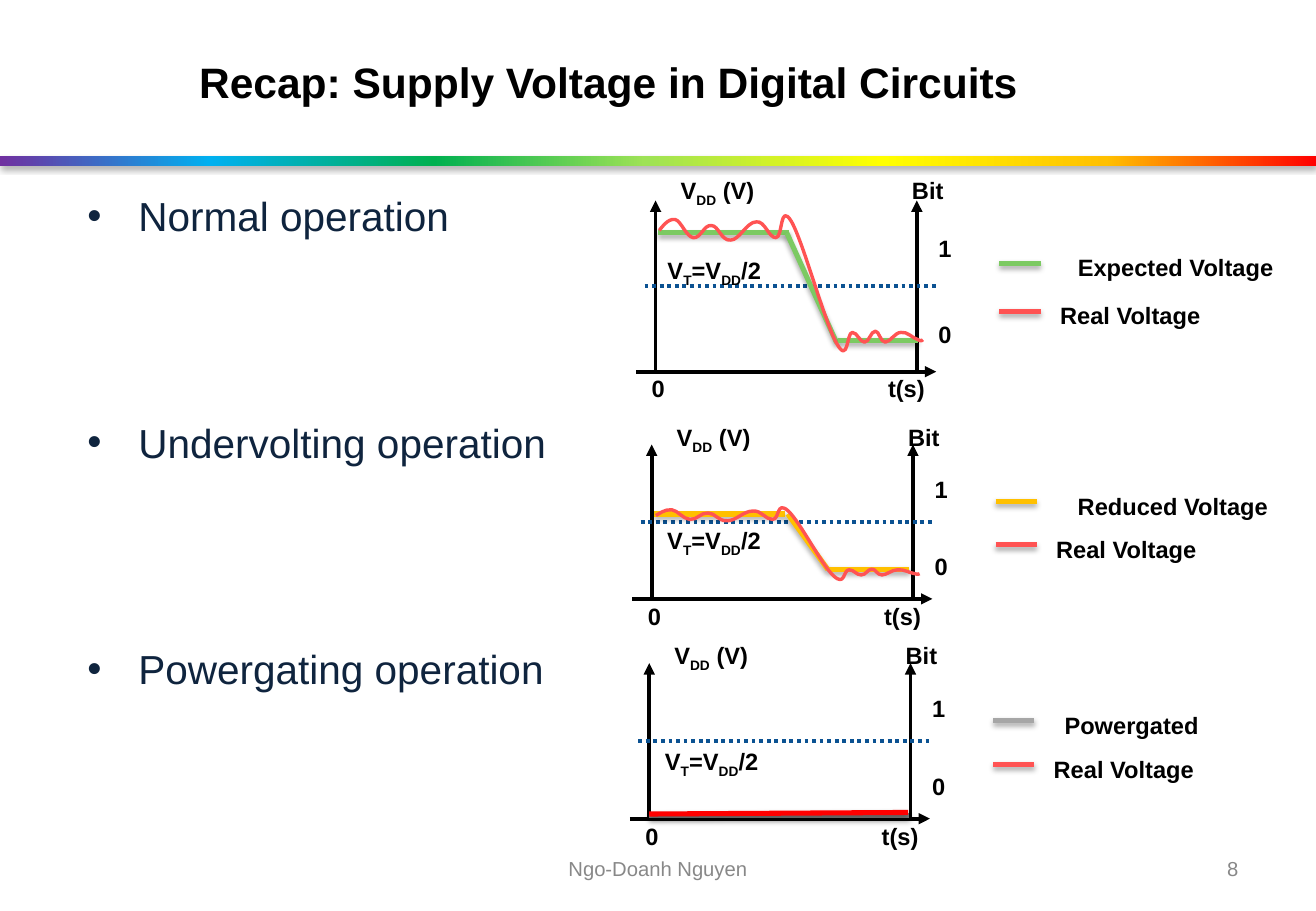
from dataclasses import dataclass

import lxml.etree
import pptx
import pptx.dml.color
import pptx.enum.dml
import pptx.enum.shapes
import pptx.enum.text
import pptx.oxml.ns
import pptx.util

qn = pptx.oxml.ns.qn
Align = pptx.enum.text.PP_ALIGN
Anchor = pptx.enum.text.MSO_ANCHOR


@dataclass(frozen=True)
class Theme:
    font: str = "Arial"
    ink: str = "000000"
    bullet: str = "0F243E"
    footer: str = "888888"
    threshold: str = "0B5292"
    expected: str = "7CCA62"
    reduced: str = "FFC000"
    real: str = "FF5353"
    gated: str = "808080"
    gated_key: str = "A6A6A6"
    off: str = "FF0000"
    rainbow: tuple = ((0, "7030A0"), (16, "00B0F0"), (33, "00B050"), (49, "9EE256"),
                      (67, "FFFF00"), (84, "FFC000"), (100, "FF0000"))
    title_pt: float = 25.2
    bullet_pt: float = 24
    label_pt: float = 14
    footer_pt: float = 12
    axis_pt: float = 2.25
    trace_pt: float = 3
    wave_pt: float = 2


@dataclass(frozen=True)
class Trace:
    """Straight stretch: columns from the voltage axis, shares of the axis height."""
    start: tuple[float, float]
    end: tuple[float, float]
    color: str


@dataclass(frozen=True)
class Wave:
    """Noisy voltage: columns from the axis, share of its height, rows."""
    left: float
    top: float
    height: float


@dataclass(frozen=True)
class Panel:
    axis: float       # column of the voltage axis
    base: float       # row of the time axis
    height: float     # rows
    threshold_label: tuple[float, float]
    key: str
    key_color: str
    key_center: float
    traces: tuple[Trace, ...]
    wave: Wave | None = None

    def at(self, column: float, share: float) -> tuple[float, float]:
        return self.axis + column, self.base - share * self.height


THEME = Theme()
CELL = 0.1  # inches per grid column and row
COLUMNS, ROWS = 108.3, 75

PANELS = (
    Panel(53.95, 30.6, 14.1, (0, 0.71), "Expected Voltage", THEME.expected, 42.8,
          (Trace((0.2, 0.81), (11, 0.81), THEME.expected),
           Trace((10.8, 0.81), (14.9, 0.17), THEME.expected),
           Trace((15, 0.18), (21.6, 0.18), THEME.expected)), Wave(0.3, 0.91, 11.1)),
    Panel(53.63, 49.3, 12.7, (0.3, 0.51), "Reduced Voltage", THEME.reduced, 42.9,
          (Trace((0.2, 0.55), (11, 0.55), THEME.reduced),
           Trace((11.2, 0.55), (14.5, 0.19), THEME.reduced),
           Trace((14.5, 0.19), (21.2, 0.19), THEME.reduced)), Wave(0.35, 0.59, 5.9)),
    Panel(53.43, 67.4, 12.8, (0.3, 0.5), "Powergated", THEME.gated_key, 39.7,
          (Trace((0, 0.02), (21.4, 0.02), THEME.gated),
           Trace((0, 0.03), (21.3, 0.04), THEME.off))),
)

# Start point, then three Bézier points per stretch, in cells of the tallest wave
WAVE_WIDTH, WAVE_HEIGHT = 21.7, 11.1
WAVE_POINTS = (
    (0, 1.2), (0.2, 1), (0.7, 0.2), (1.3, 0.3), (1.8, 0.4), (2.2, 1.7), (2.8, 1.8),
    (3.4, 1.9), (3.7, 0.7), (4.3, 0.8), (4.9, 0.8), (5.1, 2.1), (5.9, 2),
    (6.6, 2), (7.2, 0.5), (8, 0.5), (8.7, 0.4), (9, 1.8), (9.6, 1.8),
    (10.2, 1.8), (9.9, -1.2), (10.9, 0.5), (11.9, 2.3), (13.6, 8.7), (14.6, 10.5),
    (15.6, 12.3), (15.4, 9.6), (15.9, 9.6), (16.3, 9.6), (16.5, 10.4), (16.9, 10.4),
    (17.3, 10.4), (17.4, 9.5), (17.8, 9.5), (18.1, 9.5), (18.2, 10.4), (18.6, 10.4),
    (19, 10.4), (19.4, 9.6), (19.9, 9.6), (20.4, 9.5), (20.9, 10.1), (21.3, 10.2),
    (21.6, 10.4), (21.7, 10.2), (21.7, 10.2),
)


def cells(count: float) -> int:
    return pptx.util.Inches(count * CELL)


def rgb(color: str) -> pptx.dml.color.RGBColor:
    return pptx.dml.color.RGBColor.from_string(color)


def add_node(parent, tag: str, **attributes):
    return lxml.etree.SubElement(parent, qn(tag), {k: str(v) for k, v in attributes.items()})


def add_effects(shape, shadow: bool) -> None:
    effects = add_node(shape._element.spPr, "a:effectLst")
    if shadow:
        outer = add_node(effects, "a:outerShdw", blurRad=40000, dist=23000,
                         dir=5400000, rotWithShape=0)
        add_node(add_node(outer, "a:srgbClr", val=THEME.ink), "a:alpha", val=35000)


def write(slide, box: tuple, text: str, *, size: float = THEME.label_pt,
          color: str = THEME.ink, bold: bool = True, align=Align.LEFT,
          anchor=Anchor.TOP, bulleted: bool = False, gap: float = 0) -> None:
    """Newlines part paragraphs; underscores enclose subscripts."""
    frame = slide.shapes.add_textbox(*map(cells, box)).text_frame
    frame.word_wrap, frame.vertical_anchor = True, anchor
    for row, line in enumerate(text.split("\n")):
        paragraph = frame.add_paragraph() if row else frame.paragraphs[0]
        paragraph.alignment = align
        if row:
            paragraph.space_before = pptx.util.Pt(gap)
        if bulleted:
            props = paragraph._p.get_or_add_pPr()
            props.set("marL", str(cells(5)))
            props.set("indent", str(-cells(4.2)))
            add_node(add_node(props, "a:buClr"), "a:srgbClr", val=color)
            add_node(props, "a:buFont", typeface=THEME.font)
            add_node(props, "a:buChar", char="•")
        for index, piece in enumerate(line.split("_")):
            run = paragraph.add_run()
            run.text = piece
            font = run.font
            font.name, font.size, font.bold = THEME.font, pptx.util.Pt(size), bold
            font.color.rgb = rgb(color)
            if index % 2:
                run._r.get_or_add_rPr().set("baseline", "-25000")


def draw_line(slide, start: tuple, end: tuple, color: str, width: float, *,
              arrow: bool = False, dotted: bool = False, shadow: bool = False) -> None:
    line = slide.shapes.add_connector(pptx.enum.shapes.MSO_CONNECTOR.STRAIGHT,
                                      *map(cells, (*start, *end)))
    line.line.color.rgb, line.line.width = rgb(color), pptx.util.Pt(width)
    if dotted:
        line.line.dash_style = pptx.enum.dml.MSO_LINE.ROUND_DOT
    if arrow:
        add_node(line.line._get_or_add_ln(), "a:tailEnd", type="triangle")
    add_effects(line, shadow)


def draw_wave(slide, left: float, top: float, height: float) -> None:
    # The diagonal sets the extent; Bézier stretches then take its place
    builder = slide.shapes.build_freeform(cells(left), cells(top))
    builder.add_line_segments([(cells(left + WAVE_WIDTH), cells(top + height))], close=False)
    wave = builder.convert_to_shape()
    outline = next(wave._element.iter(qn("a:path")))
    for step in list(outline):
        outline.remove(step)
    for index, (x, y) in enumerate(WAVE_POINTS):
        if index % 3 == 1 or index == 0:
            step = add_node(outline, "a:cubicBezTo" if index else "a:moveTo")
        add_node(step, "a:pt", x=cells(x), y=cells(y * height / WAVE_HEIGHT))
    wave.fill.background()
    wave.line.color.rgb, wave.line.width = rgb(THEME.real), pptx.util.Pt(THEME.wave_pt)
    wave.shadow.inherit = False


def draw_rainbow(slide) -> None:
    bar = slide.shapes.add_shape(pptx.enum.shapes.MSO_SHAPE.RECTANGLE,
                                 0, cells(12.85), cells(COLUMNS), cells(0.8))
    bar.line.fill.background()
    bar.fill.gradient()
    bar.fill.gradient_angle = 0
    stops = bar._element.spPr.find(qn("a:gradFill")).find(qn("a:gsLst"))
    stops.clear()
    for share, color in THEME.rainbow:
        add_node(add_node(stops, "a:gs", pos=share * 1000), "a:srgbClr", val=color)
    add_effects(bar, True)


def draw_panel(slide, panel: Panel) -> None:
    at, ink, center = panel.at, THEME.ink, Align.CENTER
    # Axes and threshold
    for start, end in (((0, 0), (0, 1)), ((-1.6, 0), (23.1, 0)), ((21.5, 0), (21.5, 1))):
        draw_line(slide, at(*start), at(*end), ink, THEME.axis_pt, arrow=True)
    draw_line(slide, at(-0.9, 0.5), at(23.1, 0.5), THEME.threshold, THEME.axis_pt, dotted=True)
    # Labels
    for text, column, share, width in (
            ("0", -1.3, 0.02, 2.3), ("t(s)", 16, 0.02, 9.3), ("V_DD_ (V)", -1.6, 1.18, 13.4),
            ("Bit", 15.7, 1.18, 13.4), ("1", 22.3, 0.84, 2.3), ("0", 22.3, 0.34, 2.3)):
        write(slide, (*at(column, share), width, 3.4), text, align=center)
    write(slide, (*at(*panel.threshold_label), 11.7, 3.4), "V_T_=V_DD_/2")
    # Voltage traces
    for trace in panel.traces:
        draw_line(slide, at(*trace.start), at(*trace.end), trace.color,
                  THEME.trace_pt, shadow=True)
    if panel.wave:
        draw_wave(slide, *at(panel.wave.left, panel.wave.top), panel.wave.height)
    # Legend
    for share, color in ((0.63, panel.key_color), (0.35, THEME.real)):
        draw_line(slide, at(28.3, share), at(31.7, share), color, THEME.trace_pt, shadow=True)
    write(slide, (*at(panel.key_center - 10, 0.73), 20, 3.4), panel.key, align=center)
    write(slide, (*at(32.3, 0.45), 16, 3.4), "Real Voltage")


def main() -> None:
    deck = pptx.Presentation()
    deck.slide_width, deck.slide_height = cells(COLUMNS), cells(ROWS)
    slide = deck.slides.add_slide(deck.slide_layouts[6])
    # Heading and operating modes
    draw_rainbow(slide)
    write(slide, (15.4, 1.7, 87.6, 10), "Recap: Supply Voltage in Digital Circuits",
          size=THEME.title_pt, anchor=Anchor.MIDDLE)
    write(slide, (5.4, 15.25, 97.5, 51.8),
          "Normal operation\nUndervolting operation\nPowergating operation",
          size=THEME.bullet_pt, color=THEME.bullet, bold=False, bulleted=True, gap=105.4)
    # Footer
    for box, text, align in (((37, 69.5, 34.3, 4), "Ngo-Doanh Nguyen", Align.CENTER),
                             ((77.6, 69.5, 25.3, 4), "8", Align.RIGHT)):
        write(slide, box, text, size=THEME.footer_pt, color=THEME.footer, bold=False,
              align=align, anchor=Anchor.MIDDLE)
    # Voltage plots
    for panel in PANELS:
        draw_panel(slide, panel)
    deck.save("out.pptx")


if __name__ == "__main__":
    main()
